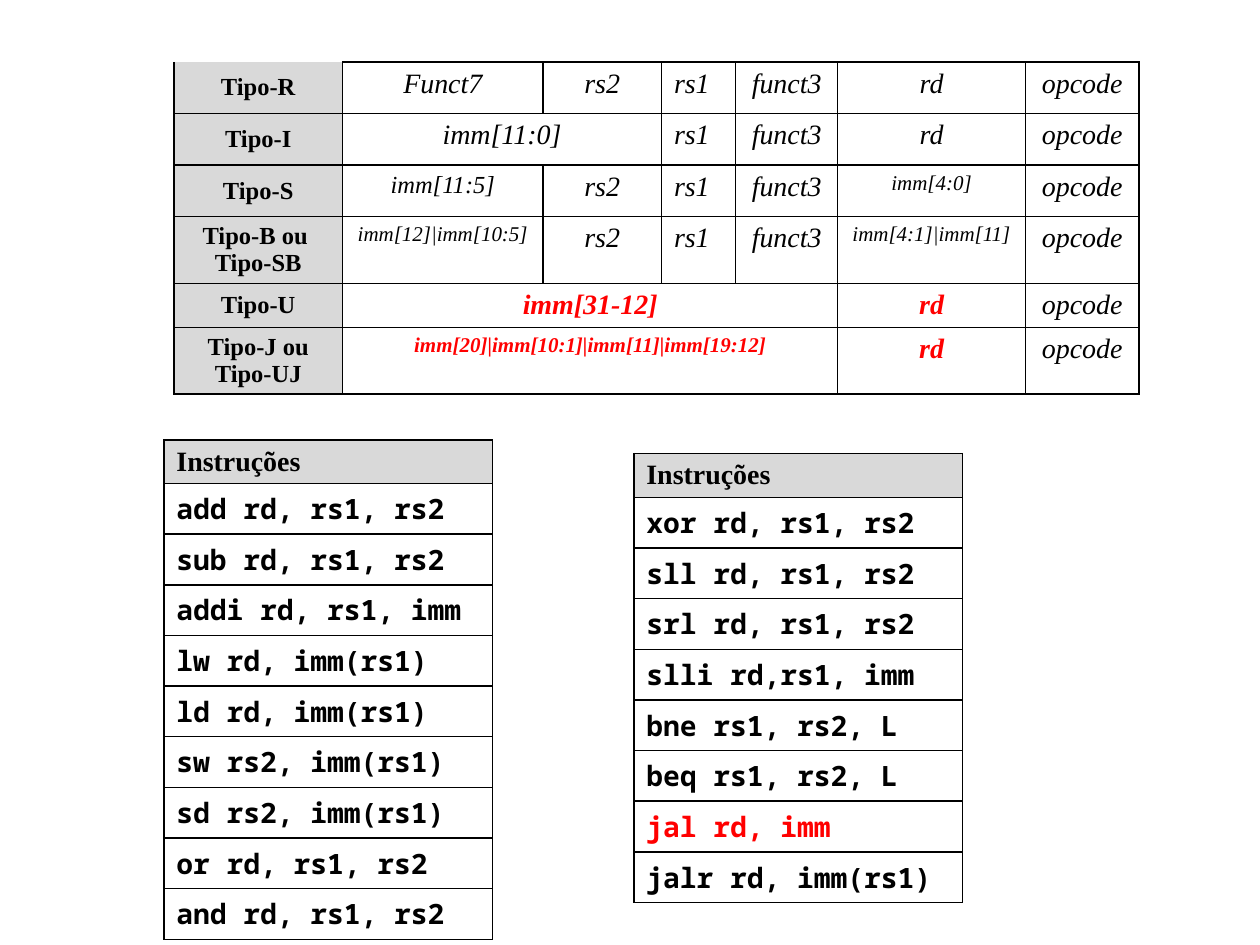
from lxml.etree import SubElement
from pptx import Presentation
from pptx.dml.color import RGBColor
from pptx.enum.text import MSO_ANCHOR as Anchor, PP_ALIGN as Align
from pptx.oxml.ns import qn
from pptx.util import Inches, Pt

BLACK = RGBColor(0x00, 0x00, 0x00)
RED = RGBColor(0xFF, 0x00, 0x00)
GRAY = RGBColor(0xD9, 0xD9, 0xD9)
SERIF = "Times New Roman"
MONO = "Noto Sans Mono"


class SlideBuilder:
    """Holds the table style and the current slide."""

    def __init__(self, presentation):
        self.slide = presentation.slides.add_slide(presentation.slide_layouts[6])

    def table(self, left, top, widths, heights):
        shape = self.slide.shapes.add_table(
            len(heights), len(widths), Inches(left), Inches(top),
            Inches(sum(widths)), Inches(sum(heights)))
        table = shape.table
        table.first_row = table.horz_banding = False
        for column, width in zip(table.columns, widths):
            column.width = Inches(width)
        for row, height in zip(table.rows, heights):
            row.height = Inches(height)
        for cell in table.iter_cells():
            self.borders(cell)
            cell.fill.background()
        return table

    def borders(self, cell, hidden=""):
        properties = cell._tc.get_or_add_tcPr()
        for side in "LRTB":
            line = SubElement(properties, qn(f"a:ln{side}"), w=str(Pt(1)))
            fill = SubElement(line, qn("a:solidFill"))
            SubElement(fill, qn("a:srgbClr"), val=str(BLACK))

    def hide_top_border(self, cell):
        line = cell._tc.tcPr.find(qn("a:lnT"))
        line.remove(line[0])
        SubElement(line, qn("a:noFill"))

    def text(self, cell, text, size=16, font=SERIF, color=BLACK,
             bold=True, italic=False, align=Align.LEFT):
        frame = cell.text_frame
        for index, content in enumerate(text.split("\n")):
            paragraph = frame.add_paragraph() if index else frame.paragraphs[0]
            paragraph.alignment = align
            run = paragraph.add_run()
            run.text = content
            run.font.name = font
            run.font.size = Pt(size)
            run.font.bold = bold
            run.font.italic = italic
            run.font.color.rgb = color

    def heading(self, cell, text, **style):
        cell.fill.solid()
        cell.fill.fore_color.rgb = GRAY
        self.text(cell, text, **style)

    def instruction_table(self, left, top, instructions):
        heights = [0.34] + [0.4] * len(instructions)
        table = self.table(left, top, [2.61], heights)
        self.heading(table.cell(0, 0), "Instruções")
        for row, instruction in enumerate(instructions, 1):
            color = RED if instruction.startswith("jal ") else BLACK
            self.text(table.cell(row, 0), instruction, font=MONO, color=color)

    def format_table(self, left, top, widths, formats):
        heights = [0.41] * 3 + [0.53, 0.34, 0.53]
        table = self.table(left, top, widths, heights)
        for row, (name, fields) in enumerate(formats):
            heading = table.cell(row, 0)
            heading.vertical_anchor = Anchor.MIDDLE
            self.heading(heading, name, size=14, align=Align.CENTER)
            column = 1
            for text, span, size, color in fields:
                cell = table.cell(row, column)
                if span > 1:
                    cell.merge(table.cell(row, column + span - 1))
                self.text(cell, text, size, color=color, bold=color == RED, italic=True,
                          align=Align.LEFT if text == "rs1" else Align.CENTER)
                column += span
        self.hide_top_border(table.cell(0, 0))


def field(text, span=1, size=16, color=BLACK):
    return text, span, size, color


RS1, RS2, FUNCT3, RD, OPCODE = map(field, ("rs1", "rs2", "funct3", "rd", "opcode"))
RED_RD = field("rd", color=RED)
FORMATS = [
    ("Tipo-R", [field("Funct7"), RS2, RS1, FUNCT3, RD, OPCODE]),
    ("Tipo-I", [field("imm[11:0]", 2), RS1, FUNCT3, RD, OPCODE]),
    ("Tipo-S", [field("imm[11:5]", size=14), RS2, RS1, FUNCT3,
                field("imm[4:0]", size=12), OPCODE]),
    ("Tipo-B ou \nTipo-SB", [field("imm[12]|imm[10:5]", size=12), RS2, RS1, FUNCT3,
                             field("imm[4:1]|imm[11]", size=12), OPCODE]),
    ("Tipo-U", [field("imm[31-12]", 4, color=RED), RED_RD, OPCODE]),
    ("Tipo-J ou Tipo-UJ", [field("imm[20]|imm[10:1]|imm[11]|imm[19:12]", 4, 12, RED),
                           RED_RD, OPCODE]),
]

presentation = Presentation()
presentation.slide_width, presentation.slide_height = Inches(10), Inches(7.5)
builder = SlideBuilder(presentation)
builder.instruction_table(1.3, 3.49, [
    "add rd, rs1, rs2", "sub rd, rs1, rs2", "addi rd, rs1, imm",
    "lw rd, imm(rs1)", "ld rd, imm(rs1)", "sw rs2, imm(rs1)",
    "sd rs2, imm(rs1)", "or rd, rs1, rs2", "and rd, rs1, rs2"])
builder.format_table(1.38, 0.49, [1.34, 1.59, 0.94, 0.59, 0.81, 1.49, 0.9], FORMATS)
builder.instruction_table(5.03, 3.6, [
    "xor rd, rs1, rs2", "sll rd, rs1, rs2", "srl rd, rs1, rs2",
    "slli rd,rs1, imm", "bne rs1, rs2, L ", "beq rs1, rs2, L",
    "jal rd, imm", "jalr rd, imm(rs1)"])
presentation.save("out.pptx")
